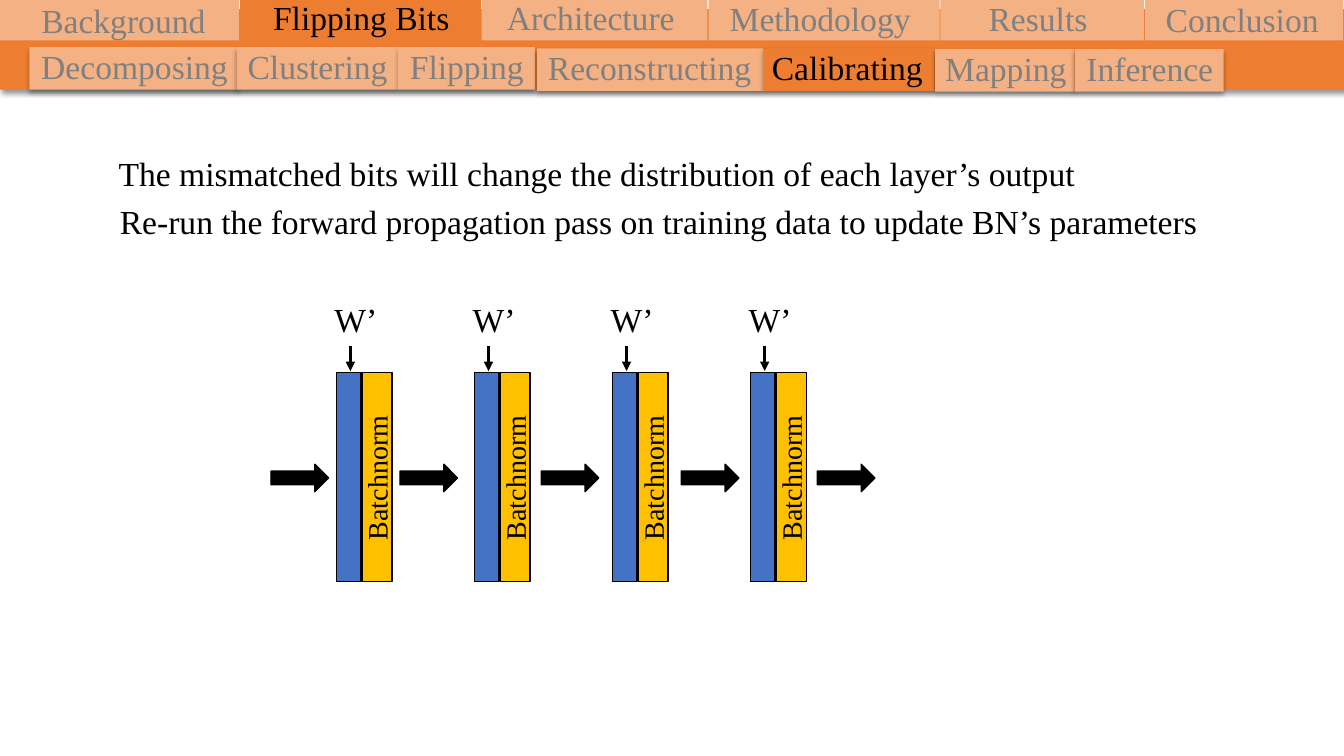
from typing import NamedTuple, Optional

from lxml.etree import SubElement
from pptx import Presentation
from pptx.dml.color import RGBColor
from pptx.enum.shapes import MSO_CONNECTOR, MSO_SHAPE
from pptx.enum.text import MSO_ANCHOR, PP_ALIGN
from pptx.oxml.ns import qn
from pptx.util import Cm, Pt

ORANGE, PEACH, GRAY, BLACK = "ED7D31", "F4B183", "808080", "000000"
BLUE, YELLOW = "4472C4", "FFC000"
FONT = "Times New Roman"
TEXT_HEIGHT = 1.27


class Tab(NamedTuple):
    label: str
    left: float
    width: float
    text_left: float
    text_width: float
    text_top: float
    top: float = 0
    active: bool = False


class Shadow(NamedTuple):
    alpha: int
    blur: float
    dist: float
    angle: int


BAR_SHADOW = Shadow(40, 4, 3, 45)
TAB_SHADOW = Shadow(32, 3.5, 2.2, 90)

SECTIONS = [
    Tab("Background", 0, 6.02, 0.76, 4.7, -0.13),
    Tab("Flipping Bits", 6.05, 6.07, 6.35, 5.51, -0.2, active=True),
    Tab("Architecture", 12.14, 5.69, 12.17, 5.44, -0.2),
    Tab("Methodology", 17.86, 5.82, 17.81, 5.72, -0.18),
    Tab("Results", 23.7, 5.13, 23.85, 4.62, -0.18),
    Tab("Conclusion", 28.85, 5.0, 29.11, 4.39, -0.15),
]
STEPS = [
    Tab("Decomposing", 0.74, 5.26, 0.79, 5.26, 1.02, 1.19),
    Tab("Clustering", 5.97, 4.06, 5.99, 4.06, 1.02, 1.19),
    Tab("Flipping", 10.03, 3.45, 10.08, 3.4, 1.04, 1.19),
    Tab("Reconstructing", 13.54, 5.69, 13.56, 5.69, 1.07, 1.22),
    Tab("Calibrating", 19.23, 4.32, 19.2, 4.34, 1.07, 1.22, active=True),
    Tab("Mapping", 23.57, 3.51, 23.57, 3.61, 1.09, 1.24),
    Tab("Inference", 27.08, 3.76, 27.13, 3.73, 1.09, 1.24),
]

LAYERS, LAYER_PITCH = 4, 3.48
LAYER_TOP, LAYER_HEIGHT = 9.38, 5.28
FLOW_LEFTS = [6.83, 10.08, 13.64, 17.17, 20.6]


def rgb(color: str) -> RGBColor:
    return RGBColor.from_string(color)


def add_shadow(sp, shadow: Shadow) -> None:
    effects = sp._element.spPr.find(qn("a:effectLst"))
    outer = SubElement(effects, qn("a:outerShdw"), blurRad=str(Pt(shadow.blur)),
                       dist=str(Pt(shadow.dist)), dir=str(shadow.angle * 60000),
                       algn="t", rotWithShape="0")
    color = SubElement(outer, qn("a:srgbClr"), val=BLACK)
    SubElement(color, qn("a:alpha"), val=str(shadow.alpha * 1000))


def add_block(s, left: float, top: float, width: float, height: float, fill: str,
              kind=MSO_SHAPE.RECTANGLE, outlined: bool = False,
              shadow: Optional[Shadow] = None) -> None:
    sp = s.shapes.add_shape(kind, Cm(left), Cm(top), Cm(width), Cm(height))
    sp.fill.solid()
    sp.fill.fore_color.rgb = rgb(fill)
    if outlined:
        sp.line.color.rgb = rgb(BLACK)
        sp.line.width = Pt(1)
    else:
        sp.line.fill.background()
    sp.shadow.inherit = False
    if shadow:
        add_shadow(sp, shadow)


def add_label(s, text: str, left: float, top: float, width: float,
              height: float = TEXT_HEIGHT, size: int = 24, color: str = BLACK,
              align=PP_ALIGN.LEFT, rotation: int = 0) -> None:
    sp = s.shapes.add_textbox(Cm(left), Cm(top), Cm(width), Cm(height))
    sp.rotation = rotation
    tf = sp.text_frame
    tf.word_wrap = False
    tf.vertical_anchor = MSO_ANCHOR.TOP
    tf.text = text
    p = tf.paragraphs[0]
    p.alignment = align
    font = p.runs[0].font
    font.name, font.size = FONT, Pt(size)
    font.color.rgb = rgb(color)


def add_tab(s, tab: Tab, height: float, align, shadow: Optional[Shadow] = None) -> None:
    add_block(s, tab.left, tab.top, tab.width, height,
              ORANGE if tab.active else PEACH, shadow=shadow)
    add_label(s, tab.label, tab.text_left, tab.text_top, tab.text_width,
              color=BLACK if tab.active else GRAY, align=align)


def add_down_arrow(s, x: float, top: float, bottom: float) -> None:
    line = s.shapes.add_connector(MSO_CONNECTOR.STRAIGHT, Cm(x), Cm(top), Cm(x), Cm(bottom))
    line.line.color.rgb = rgb(BLACK)
    line.line.width = Pt(2.25)
    SubElement(line.line._get_or_add_ln(), qn("a:tailEnd"), type="triangle")
    SubElement(line._element.spPr, qn("a:effectLst"))


def add_layer(s, left: float) -> None:
    """Draw one weight layer with its batch normalisation and incoming weights."""
    norm_left, norm_width = left + 0.64, 0.76
    text_width, text_height = 3.68, 1.12
    add_block(s, left, LAYER_TOP, 0.61, LAYER_HEIGHT, BLUE, outlined=True)
    add_block(s, norm_left, LAYER_TOP, norm_width, LAYER_HEIGHT, YELLOW, outlined=True)
    add_label(s, "Batchnorm", norm_left + (norm_width - text_width) / 2,
              LAYER_TOP + (LAYER_HEIGHT - text_height) / 2,
              text_width, text_height, size=20, rotation=270)
    add_down_arrow(s, left + 0.35, 8.71, 9.35)
    add_label(s, "W’", left - 0.3, 7.42, 1.6)


def main() -> None:
    prs = Presentation()
    prs.slide_width, prs.slide_height = Cm(33.87), Cm(19.05)
    s = prs.slides.add_slide(prs.slide_layouts[6])

    add_block(s, -0.03, 0.23, 33.91, 2.03, ORANGE, shadow=BAR_SHADOW)
    for tab in SECTIONS:
        add_tab(s, tab, 1.02, PP_ALIGN.CENTER)
    for tab in STEPS:
        add_tab(s, tab, 1.07, PP_ALIGN.LEFT, TAB_SHADOW)

    add_label(s, "The mismatched bits will change the distribution of each layer’s output",
              2.74, 3.73, 24.82)
    add_label(s, "Re-run the forward propagation pass on training data to update BN’s parameters",
              2.77, 4.95, 27.91)

    for i in range(LAYERS):
        add_layer(s, 8.48 + i * LAYER_PITCH)
    for left in FLOW_LEFTS:
        add_block(s, left, 11.7, 1.45, 0.69, BLACK, MSO_SHAPE.RIGHT_ARROW, outlined=True)

    prs.save("out.pptx")


if __name__ == "__main__":
    main()
